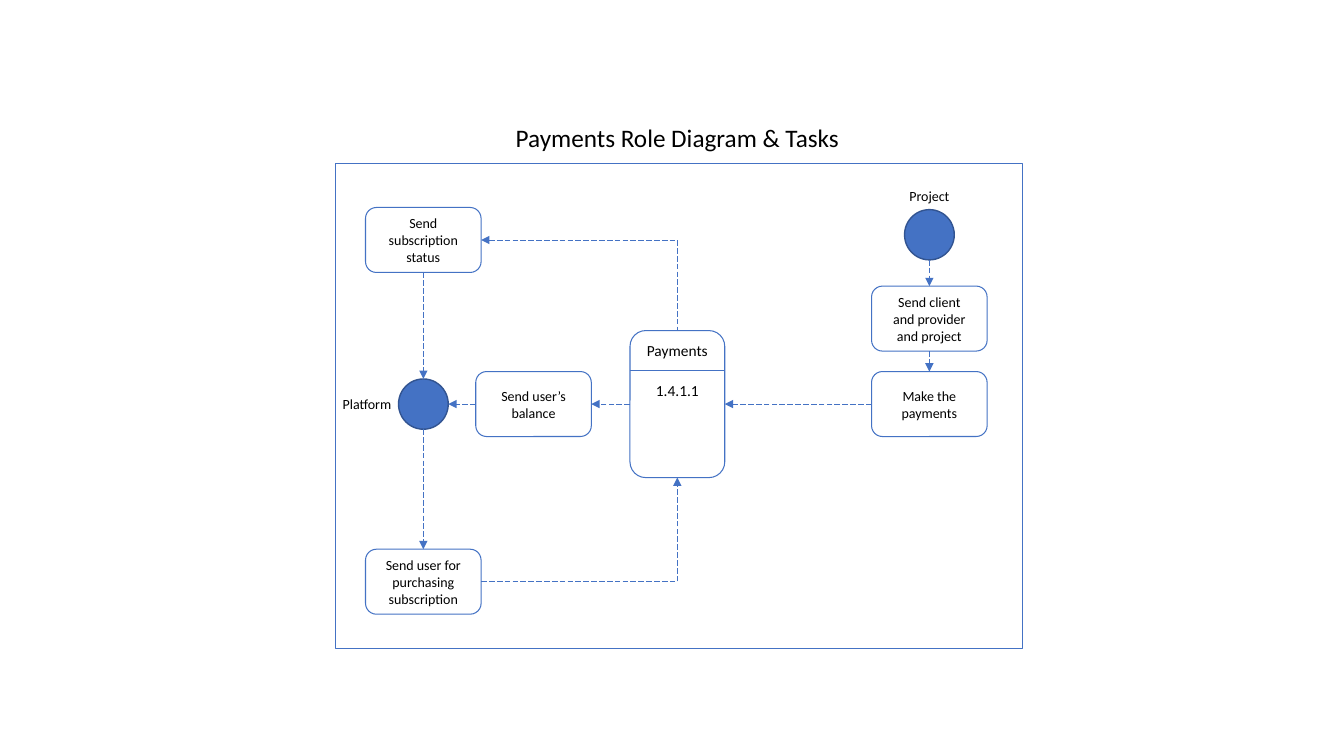
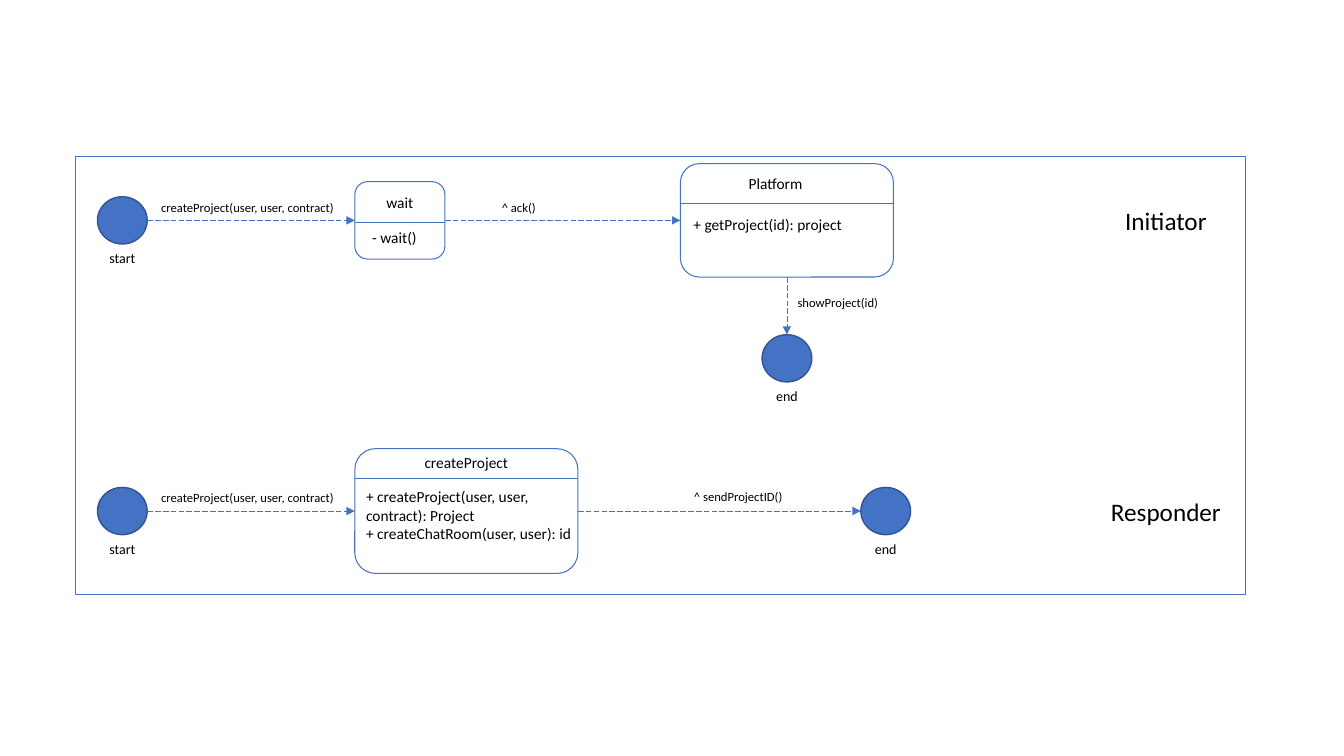
"""Build two role and protocol diagrams with python-pptx."""
from dataclasses import dataclass

from pptx import Presentation
from pptx import util as u
from pptx.dml.color import RGBColor
from pptx.enum import dml, shapes, text
from pptx.oxml.ns import qn
from lxml import etree

W, H = u.Inches(13.33), u.Inches(7.5)
FONT = "Calibri"
COLORS = {"blue": "4472C4", "edge": "325491", "ink": "000000"}
TOP, LEFT, BOTTOM, RIGHT = range(4)
SIDES = {TOP: (0, -0.5), LEFT: (-0.5, 0), BOTTOM: (0, 0.5), RIGHT: (0.5, 0)}


@dataclass
class Node:
    """A circle or rounded box, centred at percent shares of the slide."""
    key: str
    x: float
    y: float
    w: float = 8.6
    h: float = 8.6
    label: str = ""
    divider: float | None = None
    circle: bool = False

    def side(self, side: int) -> tuple[float, float]:
        """Return the middle of one side."""
        dx, dy = SIDES[side]
        return self.x + dx * self.w, self.y + dy * self.h


@dataclass
class Label:
    """Text centred at x, y, or starting at x when a width is given."""
    x: float
    y: float
    lines: str
    size: int = 10
    w: float = 0
    h: float = 4


@dataclass
class Link:
    """A dashed arrow; a bent one leaves its start sideways."""
    start: str
    start_side: int
    end: str
    end_side: int
    bent: bool = False
    reverse: bool = False


def px(x: float) -> int:
    """Turn a percent of the width into a length."""
    return round(W * x / 100)


def py(y: float) -> int:
    """Turn a percent of the height into a length."""
    return round(H * y / 100)


def rgb(name: str) -> RGBColor:
    """Look up a colour."""
    return RGBColor.from_string(COLORS[name])


def write(tf, lines: str, size: int, align=text.PP_ALIGN.CENTER) -> None:
    """Write one paragraph per line."""
    tf.vertical_anchor = text.MSO_ANCHOR.MIDDLE
    for i, line in enumerate(lines.split("\n")):
        p = tf.add_paragraph() if i else tf.paragraphs[0]
        p.alignment = align
        r = p.add_run()
        r.text = line
        r.font.name, r.font.size = FONT, u.Pt(size)
        r.font.color.rgb = rgb("ink")


def add_outline(s, kind, x: float, y: float, w: float, h: float):
    """Add an unfilled shape with a thin blue outline."""
    sp = s.shapes.add_shape(kind, px(x), py(y), px(w), py(h))
    sp.shadow.inherit = False
    sp.fill.background()
    sp.line.color.rgb = rgb("blue")
    sp.line.width = u.Pt(0.75)
    return sp


def add_line(s, start: tuple[float, float], end: tuple[float, float],
             kind=shapes.MSO_CONNECTOR.STRAIGHT):
    """Add a hairline connector without a shadow."""
    c = s.shapes.add_connector(kind, px(start[0]), py(start[1]), px(end[0]), py(end[1]))
    c.line.color.rgb = rgb("blue")
    c.line.width = u.Pt(0.5)
    etree.SubElement(c.element.spPr, qn("a:effectLst"))
    return c


def add_node(s, n: Node):
    """Draw a node with its inner text and divider."""
    kind = (shapes.MSO_SHAPE.FLOWCHART_CONNECTOR if n.circle
            else shapes.MSO_SHAPE.ROUNDED_RECTANGLE)
    left, top = n.x - n.w / 2, n.y - n.h / 2
    sp = add_outline(s, kind, left, top, n.w, n.h)
    if n.circle:
        sp.fill.solid()
        sp.fill.fore_color.rgb = rgb("blue")
        sp.line.color.rgb = rgb("edge")
        sp.line.width = u.Pt(1)
    if n.label:
        tf = sp.text_frame
        tf.word_wrap = True
        tf.margin_left = tf.margin_right = u.Inches(0.12)
        tf.margin_top = tf.margin_bottom = 0
        write(tf, n.label, 10)
    if n.divider is not None:
        add_line(s, (left, n.divider), (left + n.w, n.divider))
    return sp


def add_label(s, t: Label) -> None:
    """Draw a free label."""
    w = t.w or 12
    left = t.x if t.w else t.x - w / 2
    tf = s.shapes.add_textbox(px(left), py(t.y - t.h / 2), px(w), py(t.h)).text_frame
    tf.word_wrap = True
    write(tf, t.lines, t.size, text.PP_ALIGN.LEFT if t.w else text.PP_ALIGN.CENTER)


def add_link(s, link: Link, nodes: dict[str, Node], drawn: dict) -> None:
    """Draw an arrow and join it to the boxes it touches."""
    a, b = nodes[link.start], nodes[link.end]
    kind = shapes.MSO_CONNECTOR.ELBOW if link.bent else shapes.MSO_CONNECTOR.STRAIGHT
    c = add_line(s, a.side(link.start_side), b.side(link.end_side), kind)
    if link.bent:
        c.element.spPr.find(qn("a:prstGeom")).set("prst", "bentConnector2")
    c.line.dash_style = dml.MSO_LINE.LONG_DASH
    tip = "a:headEnd" if link.reverse else "a:tailEnd"
    etree.SubElement(c.element.spPr.find(qn("a:ln")), qn(tip)).set("type", "triangle")
    if not a.circle:
        c.begin_connect(drawn[a.key], link.start_side)
    if not b.circle:
        c.end_connect(drawn[b.key], link.end_side)


def add_diagram(s, frame: tuple[float, float, float, float], nodes: list[Node],
                links: list[Link], labels: list[Label]) -> None:
    """Draw a framed diagram."""
    add_outline(s, shapes.MSO_SHAPE.RECTANGLE, *frame)
    drawn = {n.key: add_node(s, n) for n in nodes}
    by_key = {n.key: n for n in nodes}
    for link in links:
        add_link(s, link, by_key, drawn)
    for label in labels:
        add_label(s, label)


def payments_slide(prs) -> None:
    """Build the payments role diagram."""
    s = prs.slides.add_slide(prs.slide_layouts[5])
    left, mid, right = 31.5, 50.4, 69.15
    high, row, low = 31.75, 53.45, 76.95
    title = s.shapes.title
    title.left, title.top, title.width, title.height = px(mid - 15), py(15.5), px(30), py(5.35)
    write(title.text_frame, "Payments Role Diagram & Tasks", 18)
    nodes = [
        Node("payments", mid, row, 7.05, 19.45, divider=48.95),
        Node("project", right, 31.05, 3.7, 6.65, circle=True),
        Node("client", right, 42.15, label="Send client and provider and project"),
        Node("pay", right, row, label="Make the payments"),
        Node("platform", left, row, 3.7, 6.65, circle=True),
        Node("purchase", left, low, label="Send user for purchasing subscription"),
        Node("status", left, high, label="Send subscription status"),
        Node("balance", 39.7, row, label="Send user’s balance"),
    ]
    links = [
        Link("project", BOTTOM, "client", TOP),
        Link("client", BOTTOM, "pay", TOP),
        Link("pay", LEFT, "payments", RIGHT),
        Link("platform", BOTTOM, "purchase", TOP),
        Link("status", BOTTOM, "platform", TOP),
        Link("status", RIGHT, "payments", TOP, bent=True, reverse=True),
        Link("purchase", RIGHT, "payments", BOTTOM, bent=True),
        Link("payments", LEFT, "balance", RIGHT),
        Link("balance", LEFT, "platform", RIGHT),
    ]
    labels = [
        Label(mid, 46.35, "Payments", 11),
        Label(mid, 51.65, "1.4.1.1", 11),
        Label(right, 25.95, "Project"),
        Label(27.3, row, "Platform"),
    ]
    add_diagram(s, (25, 21.6, 51.1, 64.15), nodes, links, labels)


def protocol_slide(prs) -> None:
    """Build the initiator and responder diagram."""
    s = prs.slides.add_slide(prs.slide_layouts[6])
    start, platform = 9.1, 58.55
    upper, lower = 29.15, 67.6
    circles = [
        Node(key, x, y, 3.7, 6.25, circle=True)
        for key, x, y in (("start 1", start, upper), ("end 1", platform, 47.4),
                          ("start 2", start, lower), ("end 2", 65.9, lower))
    ]
    states = [
        Node("wait", 29.75, upper, 6.7, 10.25, divider=29.35),
        Node("platform", platform, upper, 15.85, 15, divider=26.95),
        Node("create", 34.7, lower, 16.6, 16.5, divider=63.25),
    ]
    links = [
        Link("start 1", RIGHT, "wait", LEFT),
        Link("wait", RIGHT, "platform", LEFT),
        Link("platform", BOTTOM, "end 1", TOP),
        Link("start 2", RIGHT, "create", LEFT),
        Link("create", RIGHT, "end 2", LEFT),
    ]
    labels = [Label(n.x, n.y + 4.95, n.key.split()[0]) for n in circles]
    labels += [
        Label(11.25, y - 1.75, "createProject(user, user, contract)", 9, 14.9)
        for y in (upper, lower)
    ]
    labels += [
        Label(29.75, 26.75, "wait", 11),
        Label(29.35, 31.4, "- wait()", 11),
        Label(36.6, 27.4, "^ ack()", 9, 9.6),
        Label(57.7, 24.2, "Platform", 11),
        Label(50.85, 29.65, "+ getProject(id): project", 11, 15.85),
        Label(58.6, 40.05, "showProject(id)", 9, 13.3),
        Label(34.7, 61.15, "createProject", 11),
        Label(26.5, 68.15, "+ createProject(user, user, contract): Project\n"
              "+ createChatRoom(user, user): id", 11, 17.6, 8.8),
        Label(50.9, 65.65, "^ sendProjectID()", 9, 15.3),
        Label(86.75, upper, "Initiator", 18),
        Label(86.75, lower, "Responder", 18),
    ]
    add_diagram(s, (5.6, 20.7, 87.1, 57.9), circles + states, links, labels)


def main() -> None:
    """Build and save the presentation."""
    prs = Presentation()
    prs.slide_width, prs.slide_height = W, H
    payments_slide(prs)
    protocol_slide(prs)
    prs.save("out.pptx")


if __name__ == "__main__":
    main()
